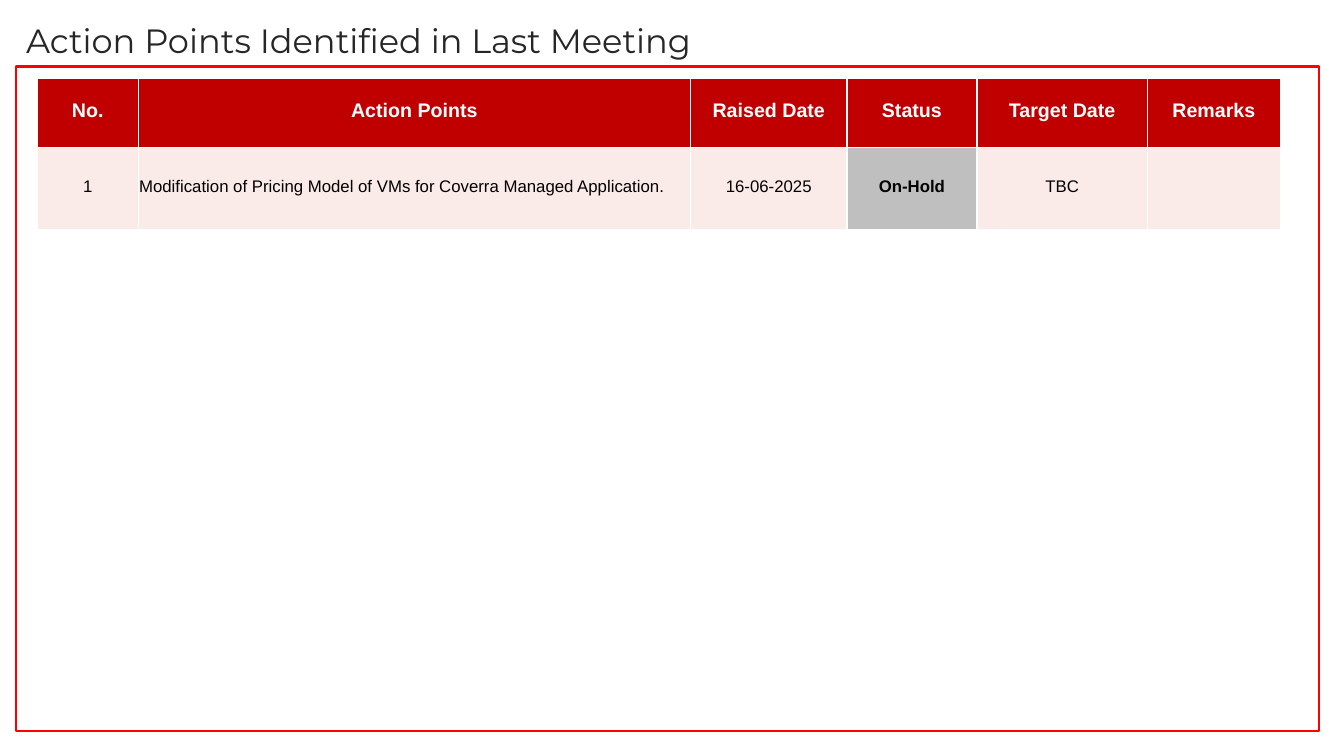
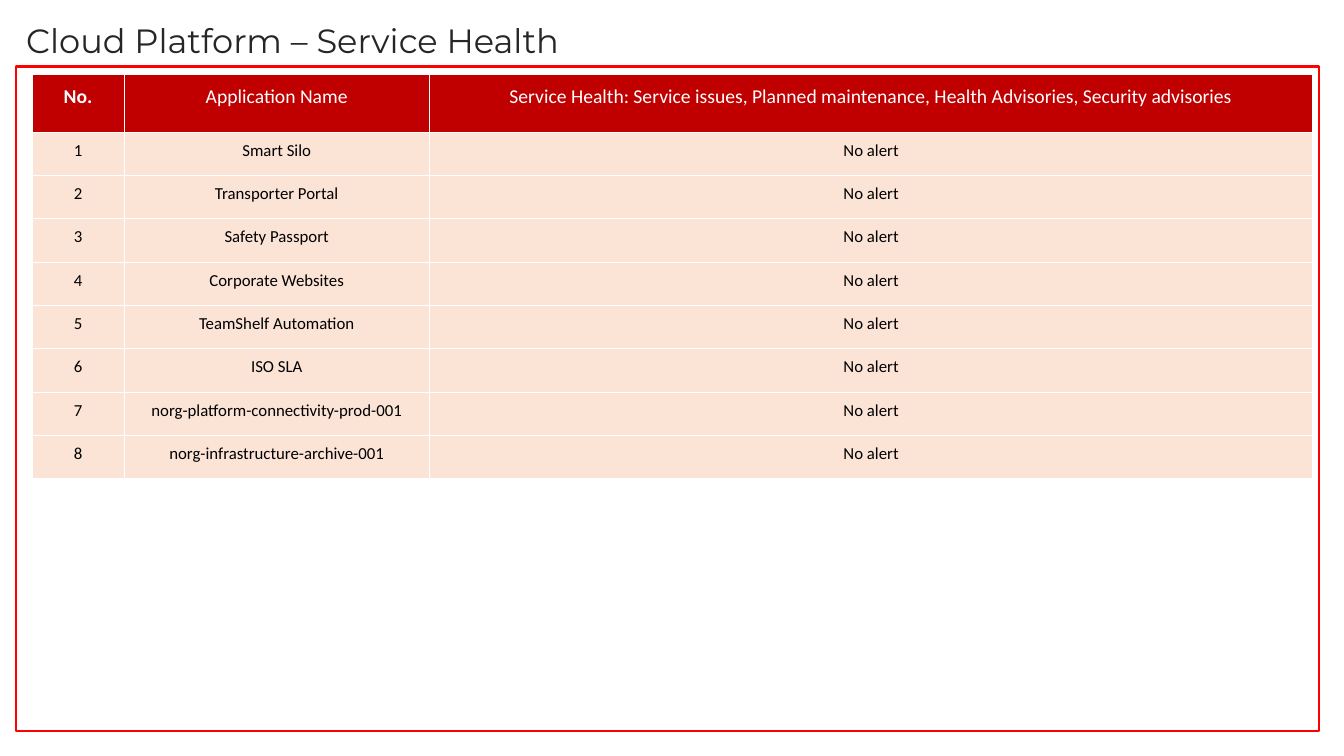
from dataclasses import dataclass

from lxml import etree
from pptx import Presentation
from pptx.dml.color import RGBColor
from pptx.enum.shapes import MSO_SHAPE
from pptx.enum.text import MSO_ANCHOR, MSO_AUTO_SIZE, PP_ALIGN
from pptx.oxml.ns import qn
from pptx.slide import Slide
from pptx.table import _Cell
from pptx.util import Inches, Pt


@dataclass(frozen=True)
class Theme:
    title_font: str = "Montserrat"
    title_size: int = 24
    header_size: int = 14
    body_size: int = 12
    title_color: str = "262625"
    frame_color: str = "FF0000"
    header_fill: str = "C00000"
    header_color: str = "FFFFFF"
    body_color: str = "000000"
    border_color: str = "FFFFFF"
    hold_fill: str = "BFBFBF"


THEME = Theme()


@dataclass(frozen=True)
class Column:
    heading: str
    width: float
    heading_bold: bool = True
    align: PP_ALIGN = PP_ALIGN.CENTER
    bold: bool = False
    fill: str | None = None


@dataclass(frozen=True)
class TableStyle:
    font: str
    body_fill: str
    border_width: float
    margins: tuple[float, float, float, float]  # left, top, right, bottom
    header_spacing: float | None = None
    body_spacing: float | None = None


@dataclass(frozen=True)
class Report:
    title: str
    left: float
    top: float
    header_height: float
    row_height: float
    columns: list[Column]
    rows: list[tuple[str, ...]]
    style: TableStyle


@dataclass(frozen=True)
class CellLook:
    size: int
    color: str
    fill: str
    bold: bool
    align: PP_ALIGN
    spacing: float | None


def set_attributes(target: object, values: dict[str, object]) -> None:
    for attribute, value in values.items():
        setattr(target, attribute, value)


def add_title(slide: Slide, title: str) -> None:
    box = slide.shapes.add_textbox(Inches(0.16), Inches(0.15), Inches(8.24), Inches(0.5))
    frame = box.text_frame
    set_attributes(frame, {"word_wrap": True, "auto_size": MSO_AUTO_SIZE.SHAPE_TO_FIT_TEXT})
    run = frame.paragraphs[0].add_run()
    run.text = title
    set_attributes(run.font, {"name": THEME.title_font, "size": Pt(THEME.title_size)})
    run.font.color.rgb = RGBColor.from_string(THEME.title_color)


def add_content_frame(slide: Slide) -> None:
    outline = slide.shapes.add_shape(
        MSO_SHAPE.RECTANGLE, Inches(0.16), Inches(0.66), Inches(12.92), Inches(6.59))
    outline.shadow.inherit = False
    outline.fill.background()
    outline.line.color.rgb = RGBColor.from_string(THEME.frame_color)
    outline.line.width = Pt(1.5)


def add_borders(cell: _Cell, width: float) -> None:
    properties = cell._tc.get_or_add_tcPr()
    for side in ("lnL", "lnR", "lnT", "lnB"):
        border = etree.SubElement(properties, qn(f"a:{side}"), w=str(Pt(width)))
        fill = etree.SubElement(border, qn("a:solidFill"))
        etree.SubElement(fill, qn("a:srgbClr"), val=THEME.border_color)


def fill_cell(cell: _Cell, text: str, look: CellLook, style: TableStyle) -> None:
    add_borders(cell, style.border_width)
    cell.fill.solid()
    cell.fill.fore_color.rgb = RGBColor.from_string(look.fill)
    sides = ("margin_left", "margin_top", "margin_right", "margin_bottom")
    set_attributes(cell, dict(zip(sides, map(Inches, style.margins))))
    cell.vertical_anchor = MSO_ANCHOR.MIDDLE
    paragraph = cell.text_frame.paragraphs[0]
    paragraph.alignment = look.align
    if look.spacing:
        paragraph.line_spacing = Pt(look.spacing)
    if text:
        run = paragraph.add_run()
        run.text = text
        set_attributes(run.font, {"name": style.font, "size": Pt(look.size), "bold": look.bold})
        run.font.color.rgb = RGBColor.from_string(look.color)


def add_report_table(slide: Slide, report: Report) -> None:
    columns, style = report.columns, report.style
    heights = [report.header_height] + [report.row_height] * len(report.rows)
    table = slide.shapes.add_table(
        len(heights), len(columns), Inches(report.left), Inches(report.top),
        Inches(sum(column.width for column in columns)), Inches(sum(heights))).table
    set_attributes(table, {"first_row": False, "horz_banding": False})
    for row, height in zip(table.rows, heights):
        row.height = Inches(height)
    for index, column in enumerate(columns):
        table.columns[index].width = Inches(column.width)
        header = CellLook(THEME.header_size, THEME.header_color, THEME.header_fill,
                          column.heading_bold, PP_ALIGN.CENTER, style.header_spacing)
        body = CellLook(THEME.body_size, THEME.body_color, column.fill or style.body_fill,
                        column.bold, column.align, style.body_spacing)
        fill_cell(table.cell(0, index), column.heading, header, style)
        for number, values in enumerate(report.rows, start=1):
            fill_cell(table.cell(number, index), values[index], body, style)


APPLICATIONS = [
    "Smart Silo",
    "Transporter Portal",
    "Safety Passport",
    "Corporate Websites",
    "TeamShelf Automation",
    "ISO SLA",
    "norg-platform-connectivity-prod-001",
    "norg-infrastructure-archive-001",
]

REPORTS = [
    Report(
        title="Action Points Identified in Last Meeting",
        left=0.37, top=0.78, header_height=0.68, row_height=0.82,
        columns=[
            Column("No.", 1),
            Column("Action Points", 5.48, align=PP_ALIGN.LEFT),
            Column("Raised Date", 1.55),
            Column("Status", 1.29, bold=True, fill=THEME.hold_fill),
            Column("Target Date", 1.69),
            Column("Remarks", 1.32),
        ],
        rows=[("1", "Modification of Pricing Model of VMs for Coverra Managed Application.",
               "16-06-2025", "On-Hold", "TBC", "")],
        style=TableStyle("Arial", "FBEBE8", 1, (0.01, 0.01, 0.01, 0.05)),
    ),
    Report(
        title="Cloud Platform – Service Health",
        left=0.32, top=0.74, header_height=0.57, row_height=0.43,
        columns=[
            Column("No.", 0.91),
            Column("Application Name", 3.03, heading_bold=False),
            Column("Service Health: Service issues, Planned maintenance, "
                   "Health Advisories, Security advisories", 8.76, heading_bold=False),
        ],
        rows=[(str(number), application, "No alert")
              for number, application in enumerate(APPLICATIONS, start=1)],
        style=TableStyle("Calibri", "FBE3D6", 0.75, (0.07, 0.05, 0.07, 0.05), 8.2, 9.8),
    ),
]


def main() -> None:
    presentation = Presentation()
    set_attributes(presentation, {"slide_width": Inches(13.33), "slide_height": Inches(7.5)})
    blank_layout = presentation.slide_layouts[6]
    for report in REPORTS:
        slide = presentation.slides.add_slide(blank_layout)
        add_content_frame(slide)
        add_title(slide, report.title)
        add_report_table(slide, report)
    presentation.save("out.pptx")


if __name__ == "__main__":
    main()
